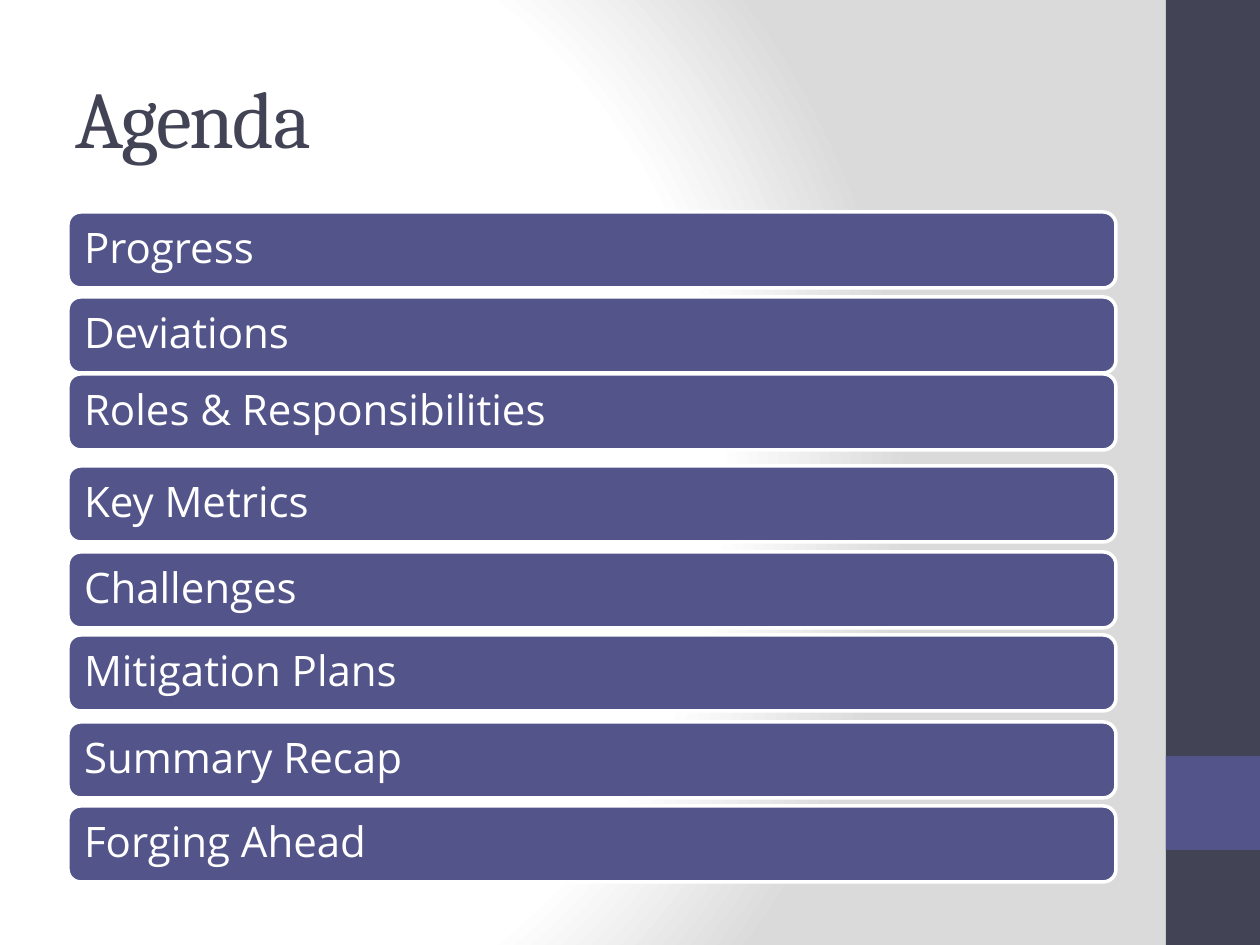
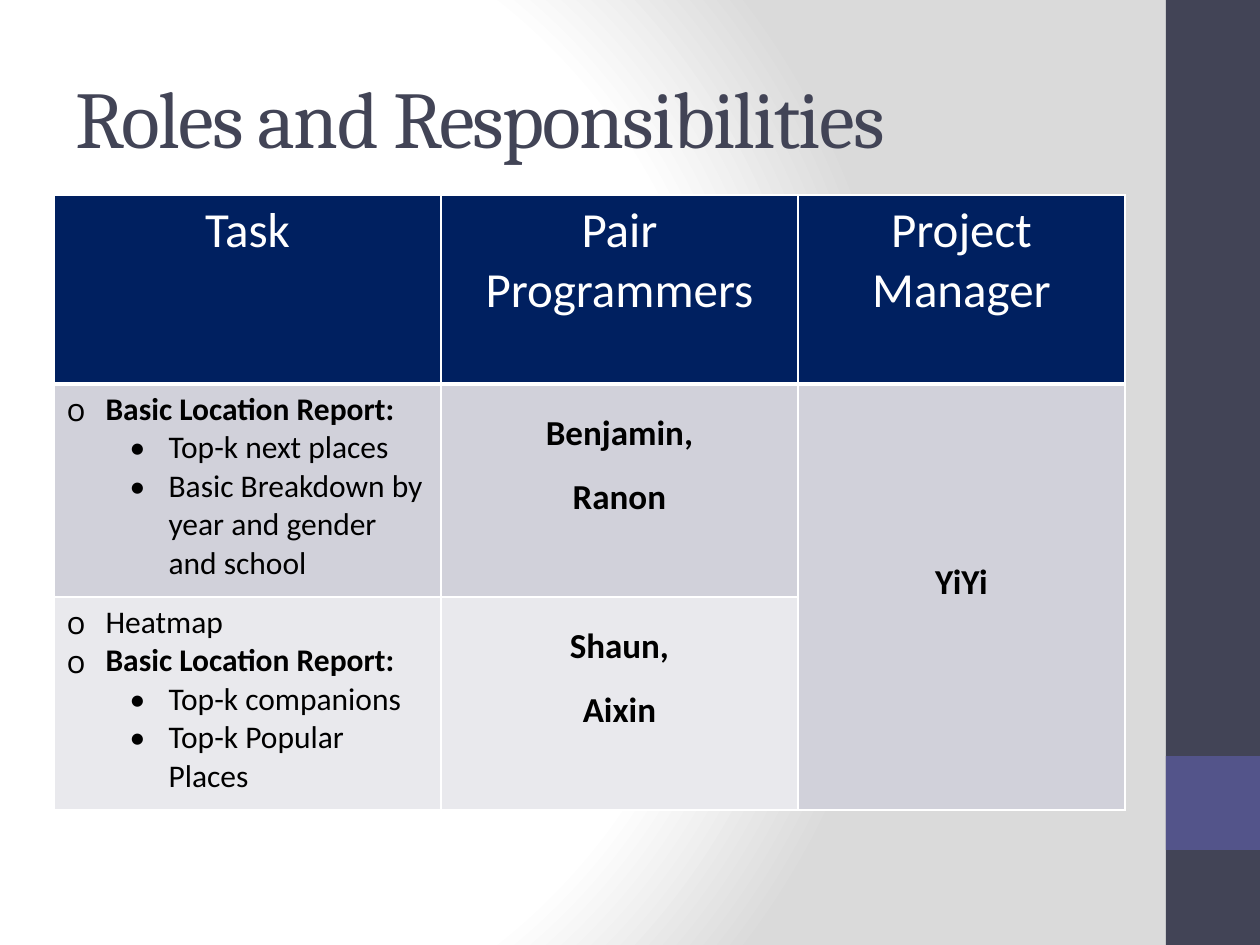
from pptx import Presentation
from pptx.dml.color import RGBColor
from pptx.enum.shapes import MSO_SHAPE as Shape
from pptx.enum.text import MSO_ANCHOR as Anchor, PP_ALIGN as Align
from pptx.oxml import parse_xml
from pptx.oxml.ns import nsdecls
from pptx.util import Emu, Pt

EMU_PER_PIXEL = 914400 // 126
SLIDE_SIZE = (1260, 945)
COLORS = {
    "dark": "424456",
    "accent": "53548A",
    "white": "FFFFFF",
    "grey": "DADADA",
    "navy": "002060",
    "row_dark": "D1D1DA",
    "row_light": "E9E9ED",
    "black": "000000",
}
TITLE_FONT, BODY_FONT, BAR_FONT = "Cambria", "Calibri", "Open Sans"

# Agenda entries with the top of each bar
AGENDA = [
    ("Progress", 212),
    ("Deviations", 297),
    ("Roles & Responsibilities", 374),
    ("Key Metrics", 466),
    ("Challenges", 552),
    ("Mitigation Plans", 635),
    ("Summary Recap", 722),
    ("Forging Ahead", 806),
]
BAR_LEFT, BAR_WIDTH, BAR_HEIGHT = 68, 1048, 76

HEADINGS = ["Task", "Pair Programmers", "Project Manager"]
# Each team: row colour, tasks as (level, text, bold), programmers
TEAMS = [
    ("row_dark",
     [(0, "Basic Location Report:", True),
      (1, "Top-k next places", False),
      (1, "Basic Breakdown by year and gender and school", False)],
     ["Benjamin,", "Ranon"]),
    ("row_light",
     [(0, "Heatmap", False),
      (0, "Basic Location Report:", True),
      (1, "Top-k companions", False),
      (1, "Top-k Popular Places", False)],
     ["Shaun,", "Aixin"]),
]
MANAGER = "YiYi"
TABLE_LEFT, TABLE_TOP = 54, 195
COLUMN_WIDTHS = [387, 357, 327]
ROW_HEIGHTS = [189, 213, 213]
# Bullet sign, its font and the text indent for each level
BULLETS = [("o", BAR_FONT, 39), ("•", BODY_FONT, 102)]
HANGING = 39


def px(pixels):
    """Turn pixels into EMU."""
    return Emu(pixels * EMU_PER_PIXEL)


def rgb(name):
    """Look up a named colour."""
    return RGBColor.from_string(COLORS[name])


def add_text(paragraph, text, font, size, color, bold=False):
    """Add one styled run to a paragraph."""
    run = paragraph.add_run()
    run.text = text
    run.font.name = font
    run.font.size = Pt(size)
    run.font.bold = bold
    run.font.color.rgb = rgb(color)
    return run


def add_box(slide, kind, box, fill):
    """Add a filled preset shape without line or shadow."""
    shape = slide.shapes.add_shape(kind, *map(px, box))
    shape.shadow.inherit = False
    shape.fill.solid()
    shape.fill.fore_color.rgb = rgb(fill)
    shape.line.fill.background()
    return shape


def set_background(slide):
    """Give the slide a radial white to grey background."""
    stops = "".join(
        f'<a:gs pos="{position * 1000}"><a:srgbClr val="{COLORS[color]}"/></a:gs>'
        for position, color in [(0, "white"), (75, "white"), (100, "grey")])
    slide.element.cSld.insert(0, parse_xml(
        f'<p:bg {nsdecls("p", "a")}><p:bgPr><a:gradFill rotWithShape="1">'
        f'<a:gsLst>{stops}</a:gsLst><a:path path="circle">'
        '<a:fillToRect l="20000" t="50000" r="100000" b="50000"/></a:path>'
        '</a:gradFill><a:effectLst/></p:bgPr></p:bg>'))


def add_slide(presentation, title):
    """Add a slide with the shared background, side band and title."""
    slide = presentation.slides.add_slide(presentation.slide_layouts[6])
    set_background(slide)
    add_box(slide, Shape.RECTANGLE, (1166, 0, 94, 945), "dark")
    add_box(slide, Shape.RECTANGLE, (1166, 756, 94, 94), "accent")
    frame = slide.shapes.add_textbox(*map(px, (63, 38, 1050, 157))).text_frame
    frame.word_wrap = True
    frame.vertical_anchor = Anchor.MIDDLE
    run = add_text(frame.paragraphs[0], title, TITLE_FONT, 46, "dark")
    run.font._element.set("spc", "-100")
    return slide


def add_agenda_bar(slide, text, top):
    """Add one rounded agenda bar."""
    bar = add_box(slide, Shape.ROUNDED_RECTANGLE,
                  (BAR_LEFT, top, BAR_WIDTH, BAR_HEIGHT), "accent")
    bar.line.color.rgb = rgb("white")
    bar.line.width = Pt(2)
    frame = bar.text_frame
    frame.word_wrap = True
    frame.vertical_anchor = Anchor.MIDDLE
    frame.margin_top = frame.margin_bottom = 0
    paragraph = frame.paragraphs[0]
    paragraph.alignment = Align.LEFT
    paragraph.line_spacing = 0.9
    add_text(paragraph, text, BAR_FONT, 24, "white")


def style_cell(cell, fill, bottom=1):
    """Fill a cell and draw its white borders."""
    cell.fill.solid()
    cell.fill.fore_color.rgb = rgb(fill)
    properties = cell._tc.get_or_add_tcPr()
    for index, (side, width) in enumerate(zip("LRTB", (1, 1, 1, bottom))):
        properties.insert(index, parse_xml(
            f'<a:ln{side} {nsdecls("a")} w="{Pt(width)}"><a:solidFill>'
            f'<a:srgbClr val="{COLORS["white"]}"/></a:solidFill></a:ln{side}>'))


def cell_paragraphs(cell, count):
    """Return the given number of paragraphs of a cell."""
    frame = cell.text_frame
    for _ in range(count - 1):
        frame.add_paragraph()
    return frame.paragraphs


def set_bullet(paragraph, level):
    """Give a paragraph the bullet and indent of its level."""
    sign, font, indent = BULLETS[level]
    paragraph.level = level
    properties = paragraph._p.get_or_add_pPr()
    properties.set("marL", str(px(indent)))
    properties.set("indent", str(px(-HANGING)))
    properties.append(parse_xml(f'<a:buFont {nsdecls("a")} typeface="{font}"/>'))
    properties.append(parse_xml(f'<a:buChar {nsdecls("a")} char="{sign}"/>'))


def add_roles_table(slide):
    """Add the table of tasks, programmers and manager."""
    table = slide.shapes.add_table(
        len(ROW_HEIGHTS), len(COLUMN_WIDTHS), px(TABLE_LEFT), px(TABLE_TOP),
        px(sum(COLUMN_WIDTHS)), px(sum(ROW_HEIGHTS))).table
    for column, width in zip(table.columns, COLUMN_WIDTHS):
        column.width = px(width)
    for row, height in zip(table.rows, ROW_HEIGHTS):
        row.height = px(height)

    for column, heading in enumerate(HEADINGS):
        cell = table.cell(0, column)
        style_cell(cell, "navy", bottom=3)
        paragraph = cell.text_frame.paragraphs[0]
        paragraph.alignment = Align.CENTER
        paragraph.space_before = Pt(12)
        add_text(paragraph, heading, BODY_FONT, 28, "white")

    for row, (fill, tasks, programmers) in enumerate(TEAMS, start=1):
        task_cell, people_cell, manager_cell = table.rows[row].cells
        style_cell(task_cell, fill)
        style_cell(people_cell, fill)
        style_cell(manager_cell, "row_dark")
        for paragraph, (level, text, bold) in zip(
                cell_paragraphs(task_cell, len(tasks)), tasks):
            set_bullet(paragraph, level)
            add_text(paragraph, text, BODY_FONT, 18, "black", bold)
        for paragraph, name in zip(
                cell_paragraphs(people_cell, len(programmers)), programmers):
            paragraph.alignment = Align.CENTER
            paragraph.line_spacing = 1.5
            add_text(paragraph, name, BODY_FONT, 20, "black", True)

    manager_cell = table.cell(1, 2)
    manager_cell.merge(table.cell(len(TEAMS), 2))
    manager_cell.vertical_anchor = Anchor.MIDDLE
    manager_cell.margin_bottom = px(35)
    paragraph = manager_cell.text_frame.paragraphs[0]
    paragraph.alignment = Align.CENTER
    add_text(paragraph, MANAGER, BODY_FONT, 20, "black", True)


presentation = Presentation()
presentation.slide_width, presentation.slide_height = map(px, SLIDE_SIZE)

agenda_slide = add_slide(presentation, "Agenda")
for entry, bar_top in AGENDA:
    add_agenda_bar(agenda_slide, entry, bar_top)

roles_slide = add_slide(presentation, "Roles and Responsibilities")
add_roles_table(roles_slide)

presentation.save("out.pptx")
